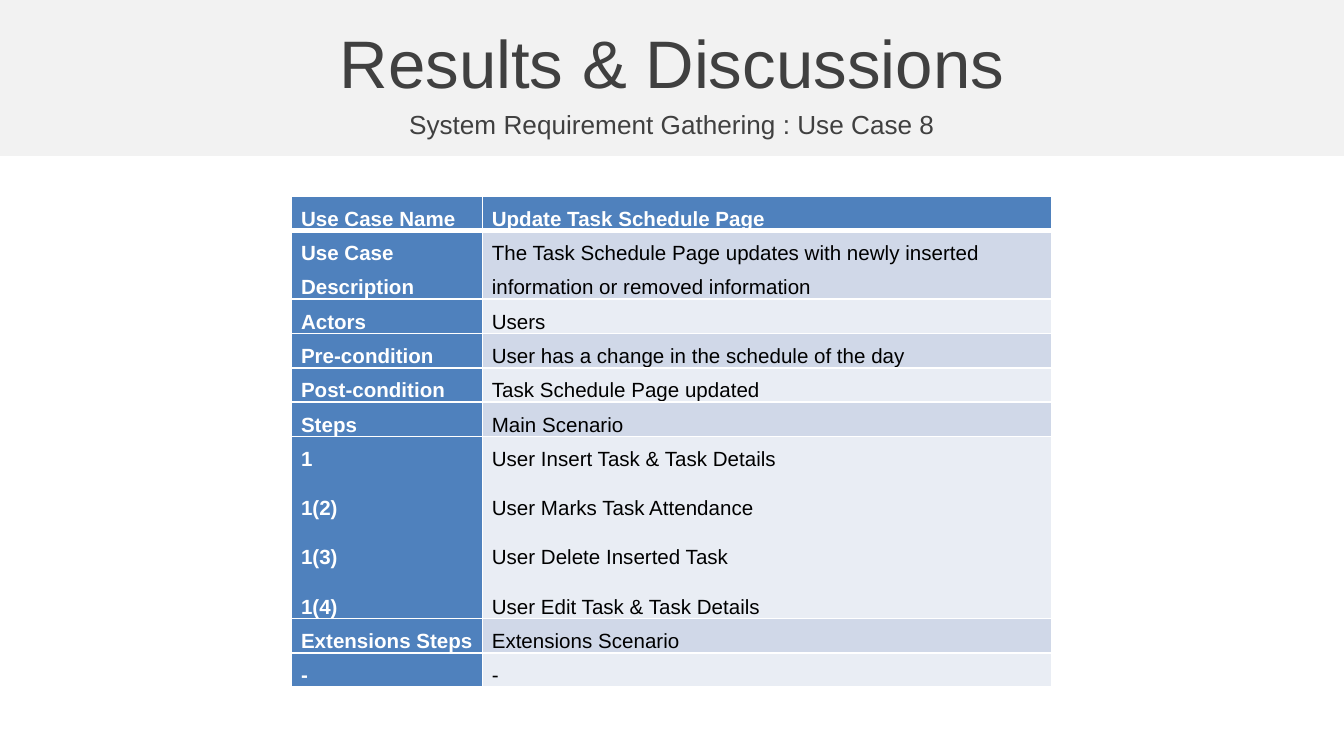
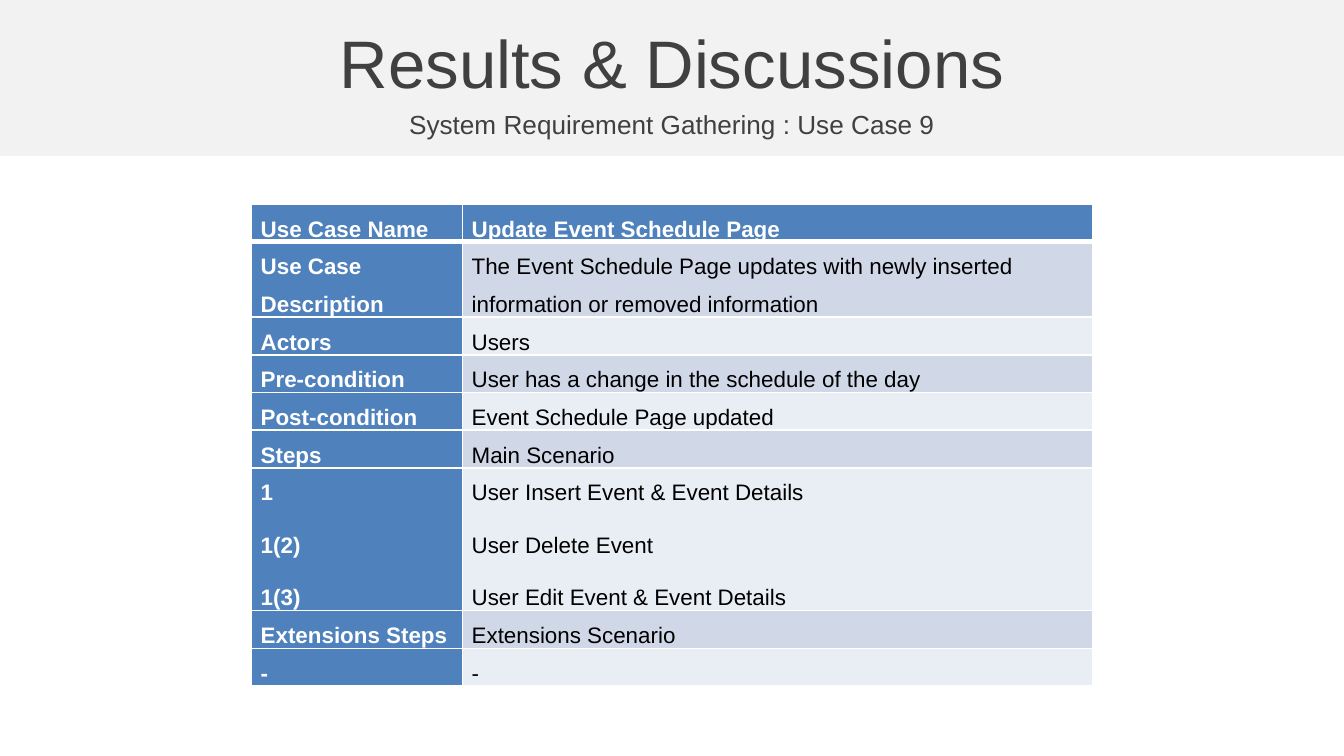
from dataclasses import dataclass

from lxml import etree
from pptx import Presentation
from pptx import util as u
from pptx.dml.color import RGBColor
from pptx.enum import shapes, text
from pptx.oxml.ns import qn

TITLE = "Results & Discussions"

SLIDES = [
    {
        "subtitle": "System Requirement Gathering : Use Case 8",
        "size": 11, "left": 2.17, "top": 1.46, "cols": (1.42, 4.24),
        "page": "Task Schedule Page",
        "steps": ["User Insert Task & Task Details", "User Marks Task Attendance",
                  "User Delete Inserted Task", "User Edit Task & Task Details"],
    },
    {
        "subtitle": "System Requirement Gathering : Use Case 9",
        "size": 12, "left": 1.87, "top": 1.52, "cols": (1.57, 4.69),
        "page": "Event Schedule Page",
        "steps": ["User Insert Event & Event Details", "User Delete Event",
                  "User Edit Event & Event Details"],
    },
]


@dataclass(frozen=True)
class Theme:
    font: str = "Arial"
    band: str = "F2F2F2"
    heading: str = "404040"
    accent: str = "4F81BD"
    stripes: tuple = ("E9EDF4", "D0D8E8")
    white: str = "FFFFFF"
    black: str = "000000"
    title_size: int = 36
    subtitle_size: int = 14
    line_spacing: float = 1.5
    space_after: int = 8


T = Theme()


def rgb(color):
    return RGBColor.from_string(color)


def set_font(p, size, color, bold=False):
    f = p.font
    f.name, f.size, f.bold = T.font, u.Pt(size), bold
    f.color.rgb = rgb(color)


def use_case_rows(case):
    page, steps = case["page"], case["steps"]
    numbers = ["1"] + [f"1({n})" for n in range(2, len(steps) + 1)]
    return [
        (["Use Case Name"], [f"Update {page}"], 1),
        (["Use Case Description"],
         [f"The {page} updates with newly inserted information or removed information"], 2),
        (["Actors"], ["Users"], 1),
        (["Pre-condition"], ["User has a change in the schedule of the day"], 1),
        (["Post-condition"], [f"{page} updated"], 1),
        (["Steps"], ["Main Scenario"], 1),
        (numbers, steps, len(steps)),
        (["Extensions Steps"], ["Extensions Scenario"], 1),
        (["-"], ["-"], 1),
    ]


def add_band(prs, s, layout):
    sp = s.shapes.add_shape(shapes.MSO_SHAPE.RECTANGLE, 0, 0, prs.slide_width, u.Inches(1.16))
    sp.shadow.inherit = False
    sp.fill.solid()
    sp.fill.fore_color.rgb = rgb(T.band)
    sp.line.fill.background()
    layout.shapes.element.insert(2, sp.element)


def fill_heading(prs, sp, content, top, height, size):
    sp.left, sp.top = 0, u.Inches(top)
    sp.width, sp.height = prs.slide_width, u.Inches(height)
    tf = sp.text_frame
    tf.text = content
    tf.word_wrap = True
    tf.auto_size = text.MSO_AUTO_SIZE.NONE
    tf.vertical_anchor = text.MSO_ANCHOR.MIDDLE
    tf.margin_top = tf.margin_bottom = 0
    p = tf.paragraphs[0]
    p.alignment = text.PP_ALIGN.CENTER
    p.space_before = u.Pt(0)
    set_font(p, size, T.heading)


def set_borders(cell, row):
    tcPr = cell._tc.get_or_add_tcPr()
    widths = {"L": 1, "R": 1, "T": 3 if row == 1 else 1, "B": 3 if row == 0 else 1}
    for side, width in widths.items():
        ln = etree.SubElement(tcPr, qn(f"a:ln{side}"), w=str(u.Pt(width)))
        fill = etree.SubElement(ln, qn("a:solidFill"))
        etree.SubElement(fill, qn("a:srgbClr"), val=T.white)


def fill_cell(cell, lines, row, col, size):
    strong = row == 0 or col == 0
    set_borders(cell, row)
    cell.fill.solid()
    cell.fill.fore_color.rgb = rgb(T.accent if strong else T.stripes[row % 2])
    cell.margin_left = cell.margin_right = u.Inches(0.07)
    cell.margin_top = cell.margin_bottom = 0
    cell.text = "\n".join(lines)
    for p in cell.text_frame.paragraphs:
        p.line_spacing = T.line_spacing
        p.space_after = u.Pt(T.space_after)
        set_font(p, size, T.white if strong else T.black, strong)


def add_use_case(s, case):
    rows, size = use_case_rows(case), case["size"]
    line = u.Pt(size * 1.67)
    heights = [line * n + u.Pt(T.space_after) * (len(label) - 1) for label, _, n in rows]
    table = s.shapes.add_table(
        len(rows), 2, u.Inches(case["left"]), u.Inches(case["top"]),
        u.Inches(sum(case["cols"])), sum(heights)).table
    for col, width in enumerate(case["cols"]):
        table.columns[col].width = u.Inches(width)
    for r, (label, detail, _) in enumerate(rows):
        table.rows[r].height = heights[r]
        for c, lines in enumerate((label, detail)):
            fill_cell(table.cell(r, c), lines, r, c, size)


def main():
    prs = Presentation()
    prs.slide_width = u.Inches(10)
    prs.slide_height = prs.slide_width * 9 // 16
    layout = prs.slide_layouts[0]
    for i, case in enumerate(SLIDES):
        s = prs.slides.add_slide(layout)
        if i == 0:
            add_band(prs, s, layout)
        fill_heading(prs, s.shapes.title, TITLE, 0.14, 0.63, T.title_size)
        fill_heading(prs, s.placeholders[1], case["subtitle"], 0.77, 0.31, T.subtitle_size)
        add_use_case(s, case)
    prs.save("out.pptx")


if __name__ == "__main__":
    main()
